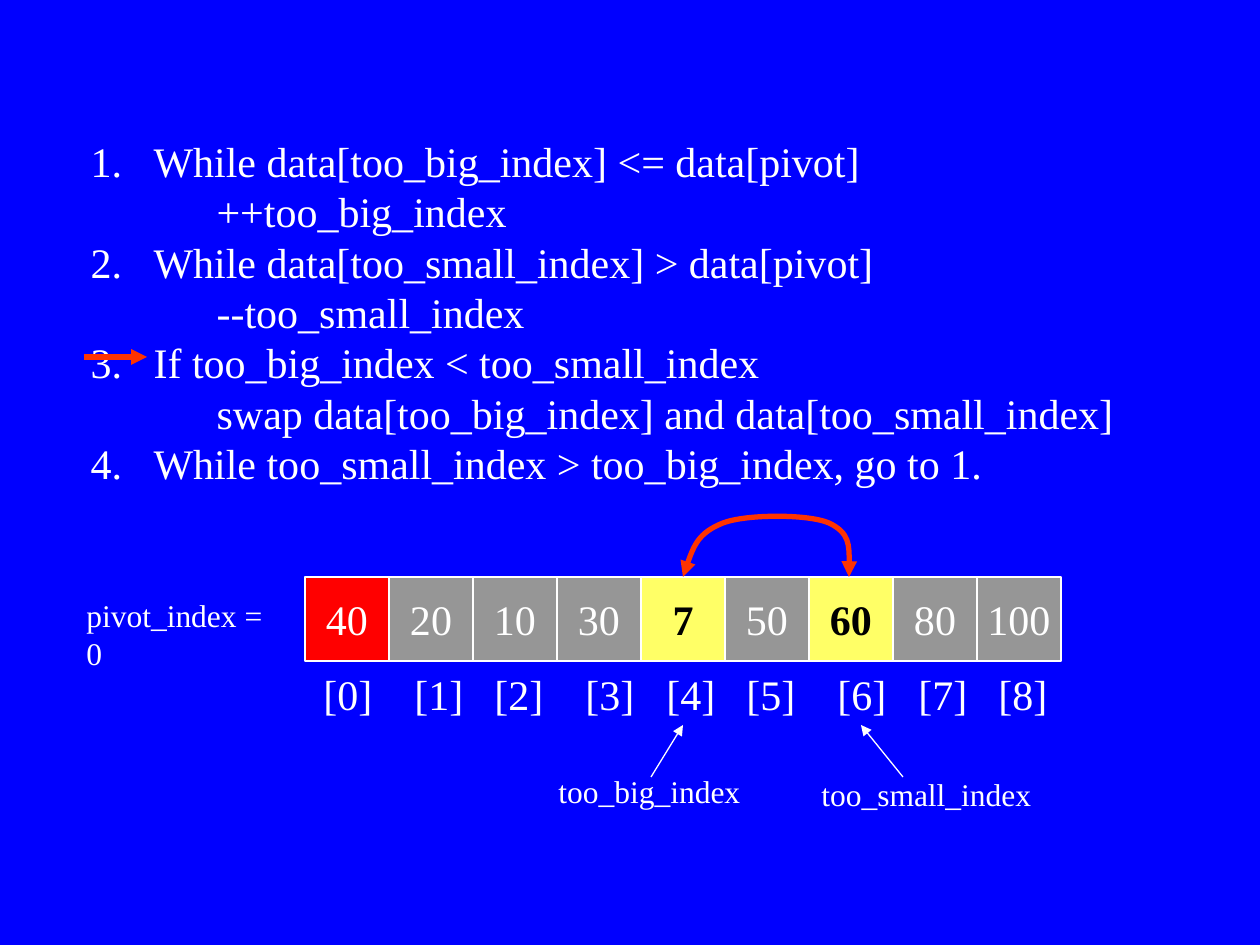
from lxml import etree
from pptx import Presentation
from pptx.dml.color import RGBColor
from pptx.enum.shapes import MSO_CONNECTOR, MSO_SHAPE
from pptx.enum.text import MSO_ANCHOR, MSO_AUTO_SIZE, PP_ALIGN
from pptx.oxml.ns import qn
from pptx.util import Emu, Pt

RECTANGLE = MSO_SHAPE.RECTANGLE
STRAIGHT = MSO_CONNECTOR.STRAIGHT
TOP, MIDDLE = MSO_ANCHOR.TOP, MSO_ANCHOR.MIDDLE
CENTER, LEFT = PP_ALIGN.CENTER, PP_ALIGN.LEFT
NO_AUTOFIT = MSO_AUTO_SIZE.NONE

PX_PER_INCH = 126
FONT = "Times New Roman"
BLUE, WHITE, BLACK = "0000FF", "FFFFFF", "000000"
RED, GRAY, YELLOW, ORANGE = "FF0000", "969696", "FFFF66", "FF3300"

CELL_LEFT, CELL_TOP, CELL_SIZE = 305, 577, 84
VALUES = [40, 20, 10, 30, 7, 50, 60, 80, 100]
PIVOT, TOO_BIG, TOO_SMALL = 0, 4, 6
INDEX_STOPS = [91, 171, 262, 343, 423, 514, 595, 675]

STEPS = [
    ("While data[too_big_index] <= data[pivot]", "++too_big_index"),
    ("While data[too_small_index] > data[pivot]", "--too_small_index"),
    ("If too_big_index < too_small_index",
     "swap data[too_big_index] and data[too_small_index]"),
    ("While too_small_index > too_big_index, go to 1.", None),
]


def px(length):
    return Emu(round(length * 914400 / PX_PER_INCH))


def color(hex_value):
    return RGBColor.from_string(hex_value)


def format_font(paragraph, hex_value=WHITE, **values):
    settings = {"name": FONT, "size": Pt(24), "bold": False, **values}
    for name, value in settings.items():
        setattr(paragraph.font, name, value)
    paragraph.font.color.rgb = color(hex_value)


def format_line(line, hex_value, width, ends):
    line.color.rgb = color(hex_value)
    line.width = Pt(width)
    for end in ends:
        etree.SubElement(line._get_or_add_ln(), qn(f"a:{end}"), type="triangle")


def add_steps(slide):
    slide.shapes.title.element.getparent().remove(slide.shapes.title.element)
    body = slide.placeholders[1]
    bounds = {"left": 78, "top": 129, "width": 1174, "height": 517}
    for name, value in bounds.items():
        setattr(body, name, px(value))
    frame = body.text_frame
    frame.auto_size, frame.vertical_anchor = NO_AUTOFIT, TOP

    lines = [(text, level) for step in STEPS
             for level, text in enumerate(step) if text]
    for number, (text, level) in enumerate(lines):
        paragraph = frame.add_paragraph() if number else frame.paragraphs[0]
        paragraph.text, paragraph.level = text, level
        paragraph.space_before = Pt(0)
        paragraph.line_spacing = Pt(28.8)
        properties = paragraph._p.get_or_add_pPr()
        properties.set("marL", str(px(126 if level else 63)))
        properties.set("indent", str(px(0 if level else -63)))
        if level:
            etree.SubElement(properties, qn("a:buNone"))
        else:
            etree.SubElement(properties, qn("a:buFont"), typeface=FONT)
            etree.SubElement(properties, qn("a:buAutoNum"), type="arabicPeriod")
        format_font(paragraph)


def add_cell(slide, index, value):
    shape = slide.shapes.add_shape(
        RECTANGLE, px(CELL_LEFT + index * CELL_SIZE), px(CELL_TOP),
        px(CELL_SIZE), px(CELL_SIZE))
    shape.shadow.inherit = False
    swapped = index in (TOO_BIG, TOO_SMALL)
    fill = RED if index == PIVOT else YELLOW if swapped else GRAY
    shape.fill.solid()
    shape.fill.fore_color.rgb = color(fill)
    format_line(shape.line, WHITE, 0.75, ())
    frame = shape.text_frame
    frame.word_wrap, frame.vertical_anchor = False, MIDDLE
    paragraph = frame.paragraphs[0]
    paragraph.text, paragraph.alignment = str(value), CENTER
    format_font(paragraph, BLACK if swapped else WHITE, bold=swapped)


def add_label(slide, text, left, top, width, height=50, size=18, stops=()):
    box = slide.shapes.add_textbox(px(left), px(top), px(width), px(height))
    box.text_frame.word_wrap = True
    paragraph = box.text_frame.paragraphs[0]
    paragraph.text, paragraph.alignment = text, LEFT
    if stops:
        tabs = etree.SubElement(paragraph._p.get_or_add_pPr(), qn("a:tabLst"))
        for stop in stops:
            etree.SubElement(tabs, qn("a:tab"), pos=str(px(stop)), algn="l")
    format_font(paragraph, size=Pt(size))


def add_arrow(slide, start, end, hex_value=WHITE, width=0.75):
    arrow = slide.shapes.add_connector(STRAIGHT, *map(px, start + end))
    format_line(arrow.line, hex_value, width, ["tailEnd"])
    etree.SubElement(arrow._element.spPr, qn("a:effectLst"))


def add_swap_curve(slide, start, controls):
    """Draw a curve; every three points of controls make one Bézier segment."""
    builder = slide.shapes.build_freeform(*start, scale=914400 / PX_PER_INCH)
    builder.add_line_segments(controls, close=False)
    curve = builder.convert_to_shape()
    curve.shadow.inherit = False
    curve.fill.background()
    outline = curve._element.find(".//" + qn("a:path"))
    segments = outline.findall(qn("a:lnTo"))
    for first in range(0, len(segments), 3):
        bezier = etree.SubElement(outline, qn("a:cubicBezTo"))
        for segment in segments[first:first + 3]:
            bezier.append(segment[0])
            outline.remove(segment)
    format_line(curve.line, ORANGE, 3, ["headEnd", "tailEnd"])


def main():
    presentation = Presentation()
    presentation.slide_width, presentation.slide_height = px(1260), px(945)
    slide = presentation.slides.add_slide(presentation.slide_layouts[1])
    slide.background.fill.solid()
    slide.background.fill.fore_color.rgb = color(BLUE)

    # Algorithm, with the current step marked
    add_steps(slide)
    add_arrow(slide, (84, 357), (147, 357), ORANGE, 3)

    # Array with its indices
    for index, value in enumerate(VALUES):
        add_cell(slide, index, value)
    add_label(slide, "pivot_index = 0", 74, 590, 224)
    indices = "\t".join(f"[{index}]" for index in range(len(VALUES)))
    add_label(slide, indices, 311, 662, 750, 63, 24, INDEX_STOPS)

    # Pointers to the two elements being swapped
    add_label(slide, "too_big_index", 546, 766, 399)
    add_label(slide, "too_small_index", 809, 769, 294)
    add_arrow(slide, (903, 777), (861, 725))
    add_arrow(slide, (651, 777), (683, 725))
    add_swap_curve(slide, (683, 577), [
        (690, 554), (698, 533), (723, 523),
        (747, 514), (808, 514), (829, 523),
        (850, 533), (850, 554), (849, 577)])

    presentation.save("out.pptx")


if __name__ == "__main__":
    main()
